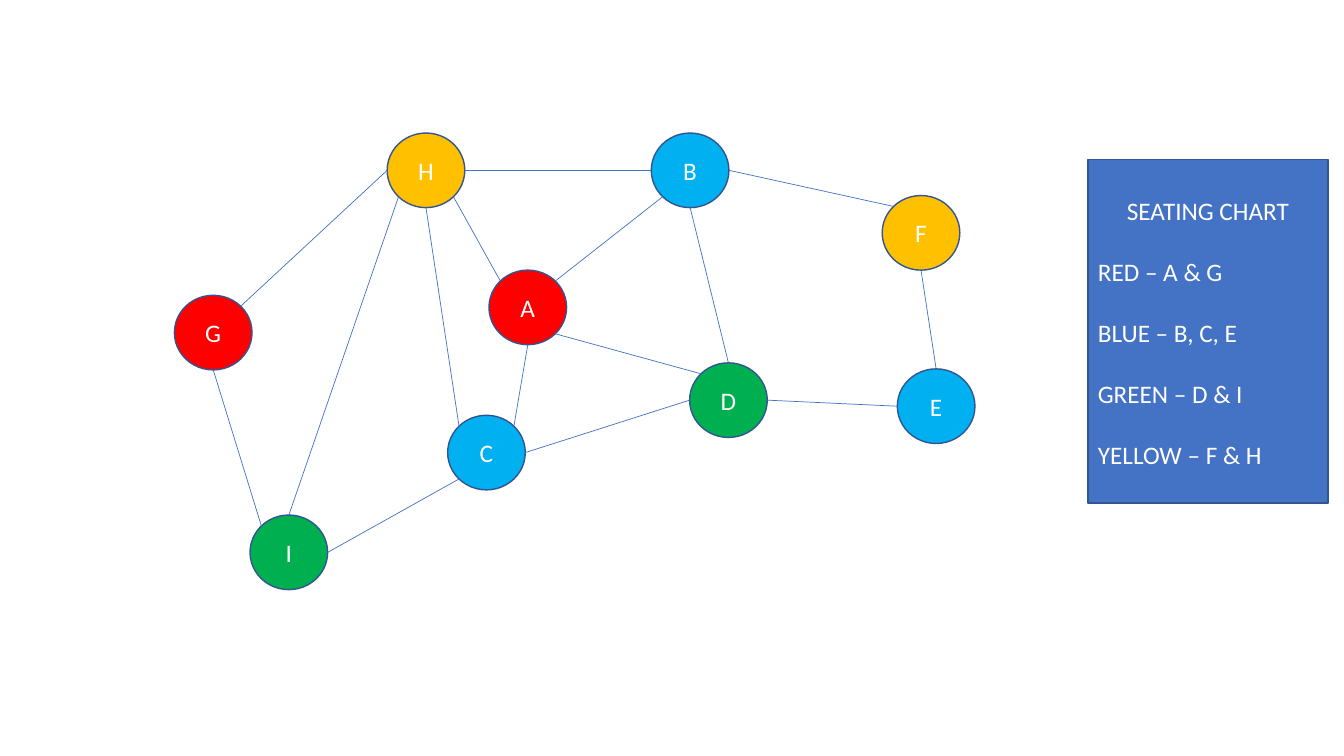
from lxml import etree
from pptx import Presentation
from pptx.dml.color import RGBColor
from pptx.enum.shapes import MSO_CONNECTOR, MSO_SHAPE
from pptx.enum.text import MSO_ANCHOR, PP_ALIGN
from pptx.oxml.ns import qn
from pptx.util import Inches, Pt

OVAL, RECT = MSO_SHAPE.OVAL, MSO_SHAPE.RECTANGLE
LINE = MSO_CONNECTOR.STRAIGHT
TOP, MID = MSO_ANCHOR.TOP, MSO_ANCHOR.MIDDLE
LEFT, CENTER = PP_ALIGN.LEFT, PP_ALIGN.CENTER

HUES = {
    "red": "FF0000", "blue": "00B0F0", "green": "00B050", "yellow": "FFC000",
    "panel": "4472C4", "edge": "325491", "text": "FFFFFF",
}
WIDE, HIGH = 0.77, 0.74

deck = Presentation()
deck.slide_width, deck.slide_height = Inches(13.33), Inches(7.5)
slide = deck.slides.add_slide(deck.slide_layouts[6])


def color(name):
    return RGBColor.from_string(HUES[name])


def write(lines, kind, box, fill, anchor=MID, align=CENTER, gap=0, inset=0.05):
    shape = slide.shapes.add_shape(kind, *map(Inches, box))
    shape.shadow.inherit = False
    shape.fill.solid()
    shape.fill.fore_color.rgb = color(fill)
    shape.line.color.rgb = color("edge")
    shape.line.width = Pt(1)
    frame = shape.text_frame
    frame.word_wrap = True
    frame.vertical_anchor = anchor
    frame.margin_top = Inches(inset)
    for i, line in enumerate(lines):
        para = frame.paragraphs[0] if i == 0 else frame.add_paragraph()
        para.alignment = align if i else CENTER
        para.space_before = Pt(gap if i else 0)
        run = para.add_run()
        run.text = line
        run.font.name = "Calibri"
        run.font.size = Pt(18)
        run.font.color.rgb = color("text")


seats = {
    "H": (3.84, 1.32, "yellow"),
    "C": (4.44, 4.12, "blue"),
    "A": (4.85, 2.68, "red"),
    "G": (1.73, 2.93, "red"),
    "B": (6.46, 1.32, "blue"),
    "I": (2.48, 5.11, "green"),
    "D": (6.84, 3.6, "green"),
    "E": (8.9, 3.66, "blue"),
    "F": (8.75, 1.94, "yellow"),
}
for name, (x, y, hue) in seats.items():
    write([name], OVAL, (x, y, WIDE, HIGH), hue)

near = (1 - 0.5 ** 0.5) / 2
far = 1 - near
ports = {
    "n": (0.5, 0), "ne": (far, near), "e": (1, 0.5), "se": (far, far),
    "s": (0.5, 1), "sw": (near, far), "w": (0, 0.5), "nw": (near, near),
}
links = [
    ("A", "ne", "B", "sw"), ("A", "nw", "H", "se"), ("H", "e", "B", "w"),
    ("B", "s", "D", "n"), ("D", "w", "C", "e"), ("C", "nw", "H", "s"),
    ("C", "ne", "A", "s"), ("D", "nw", "A", "se"), ("G", "ne", "H", "w"),
    ("H", "sw", "I", "n"), ("G", "s", "I", "nw"), ("I", "e", "C", "sw"),
    ("D", "e", "E", "w"), ("E", "n", "F", "s"), ("F", "nw", "B", "e"),
]
for start, out, end, into in links:
    spots = []
    for name, port in ((start, out), (end, into)):
        x, y, hue = seats[name]
        across, down = ports[port]
        spots += [Inches(x + across * WIDE), Inches(y + down * HIGH)]
    link = slide.shapes.add_connector(LINE, *spots)
    link.line.color.rgb = color("panel")
    link.line.width = Pt(0.5)
    etree.SubElement(link._element.spPr, qn("a:effectLst"))

chart = [
    "SEATING CHART",
    "RED – A & G",
    "BLUE – B, C, E",
    "GREEN – D & I",
    "YELLOW – F & H",
]
write(chart, RECT, (10.79, 1.58, 2.38, 3.41), "panel",
      anchor=TOP, align=LEFT, gap=22, inset=0.36)

deck.save("out.pptx")
